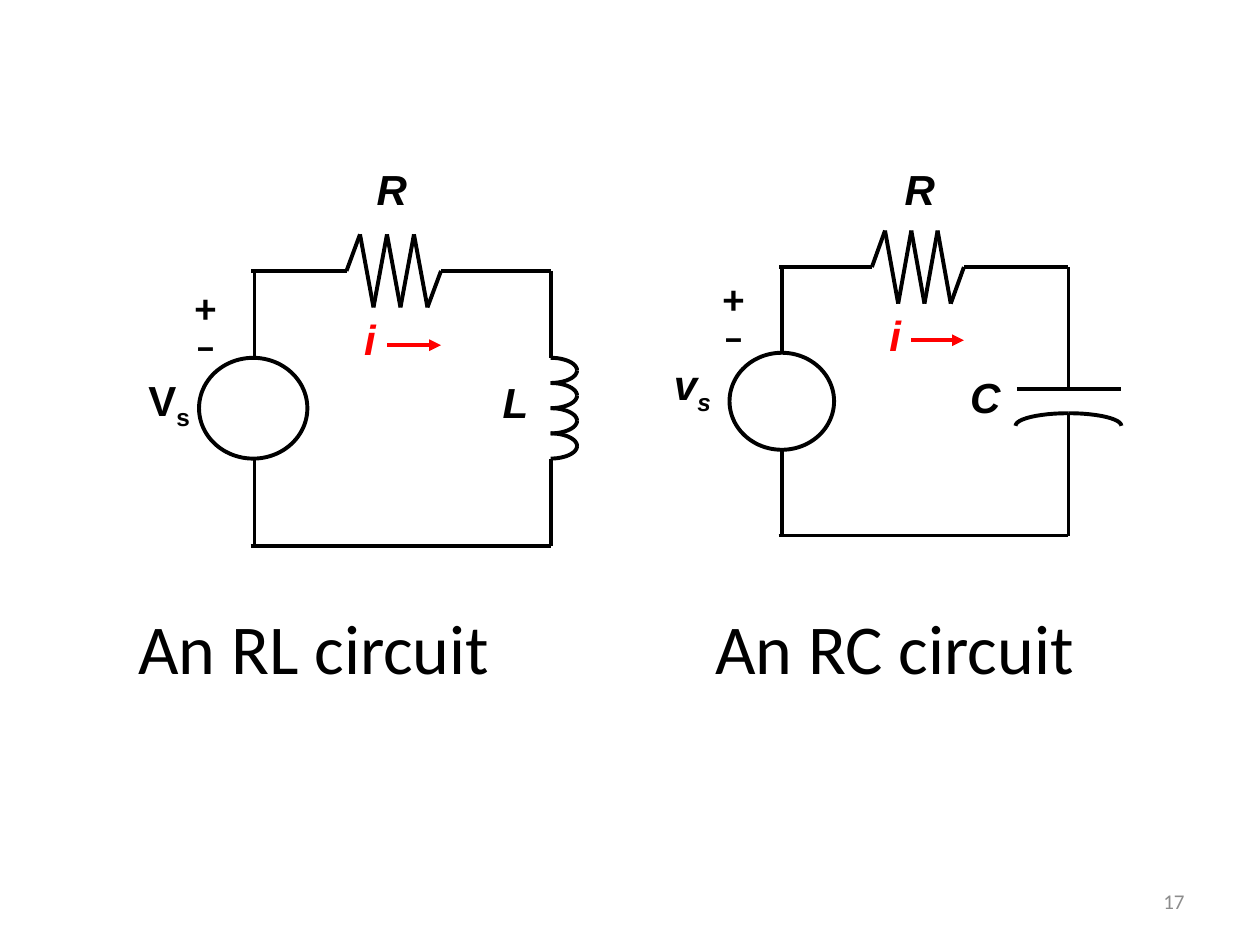
from math import cos, pi, sin

from lxml import etree
from pptx import Presentation
from pptx import util as u
from pptx.dml.color import RGBColor
from pptx.enum import shapes, text
from pptx.oxml.ns import qn

BLACK = RGBColor(0, 0, 0)
RED = RGBColor(255, 0, 0)
GRAY = RGBColor(0x8C, 0x8C, 0x8C)
LEFT, MID, RIGHT = text.PP_ALIGN.LEFT, text.PP_ALIGN.CENTER, text.PP_ALIGN.RIGHT


class Sketch:
    """Draws circuit parts on one slide in a shared line and text style."""

    def __init__(self, slide):
        self.items = slide.shapes
        self.width = u.Pt(2.25)

    def wire(self, x1, y1, x2, y2, color=BLACK):
        ends = [u.Inches(n) for n in (x1, y1, x2, y2)]
        wire = self.items.add_connector(shapes.MSO_CONNECTOR.STRAIGHT, *ends)
        wire.line.color.rgb = color
        wire.line.width = self.width
        props = wire._element.spPr
        etree.SubElement(props, qn("a:effectLst"))
        return props.find(qn("a:ln"))

    def arrow(self, x1, x2, y):
        line = self.wire(x1, y, x2, y, RED)
        etree.SubElement(line, qn("a:headEnd"), type="triangle")

    def trim(self, shape):
        shape.shadow.inherit = False
        shape.fill.background()
        shape.line.color.rgb = BLACK
        shape.line.width = self.width

    def source(self, x, y, wide, high):
        box = [u.Inches(n) for n in (x, y, wide, high)]
        self.trim(self.items.add_shape(shapes.MSO_SHAPE.OVAL, *box))

    def arc(self, x, y, rx, ry, quarter, steps=12):
        turns = [(quarter + n / steps) * pi / 2 for n in range(steps + 1)]
        spots = [(u.Inches(x + rx * cos(t)), u.Inches(y + ry * sin(t))) for t in turns]
        path = self.items.build_freeform(*spots[0])
        path.add_line_segments(spots[1:], close=False)
        self.trim(path.convert_to_shape())

    def zigzag(self, x1, x2, y, swing):
        step = (x2 - x1) / 7
        rows = [y] + [y - swing, y + swing] * 3 + [y]
        spots = [(x1 + n * step, row) for n, row in enumerate(rows)]
        for start, end in zip(spots, spots[1:]):
            self.wire(*start, *end)

    def label(self, x, y, wide, high, lines, size=24, face="Arial", color=BLACK,
              bold=True, slant=False, align=MID, sub="", space=None, wrap=False):
        box = self.items.add_textbox(*[u.Inches(n) for n in (x, y, wide, high)])
        frame = box.text_frame
        frame.word_wrap = wrap
        frame.text = lines
        for par in frame.paragraphs:
            par.alignment = align
            par.line_spacing = space
            font = par.font
            font.name, font.size = face, u.Pt(size)
            font.bold, font.italic = bold, slant
            font.color.rgb = color
        if sub:
            run = frame.paragraphs[0].add_run()
            run.text = sub
            run._r.get_or_add_rPr().set("baseline", "-25000")
        return frame

    def loop(self, x1, x2, top, base, oval, coil, gap):
        """Draws the source, resistor and wires around one circuit."""
        x, y, wide, high = oval
        self.source(*oval)
        self.wire(x1, y, x1, top)
        self.wire(x1, base, x1, y + high)
        self.wire(x1 - 0.03, base, x2, base)
        self.wire(coil[0], top, x1 - 0.03, top)
        self.wire(x2, top, coil[1], top)
        self.zigzag(*coil, top, 0.29)
        self.wire(x2, top, x2, gap[0])
        self.wire(x2, gap[1], x2, base)

    def signs(self, x, y):
        self.label(x, y, 0.39, 0.7, "+\n–", face="Calibri", align=LEFT, space=0.75)

    def title(self, x, wide, words):
        self.label(x, 4.75, wide, 0.77, words, size=40, face="Calibri",
                   bold=False, align=LEFT)


def main():
    deck = Presentation()
    deck.slide_width, deck.slide_height = u.Inches(10), u.Inches(7.5)
    art = Sketch(deck.slides.add_slide(deck.slide_layouts[6]))

    page = art.label(7.17, 6.95, 2.33, 0.4, "17", size=12, face="Calibri",
                     color=GRAY, bold=False, align=RIGHT, wrap=True)
    page.vertical_anchor = text.MSO_ANCHOR.MIDDLE

    art.loop(6.21, 8.48, 2.12, 4.25, (5.79, 2.8, 0.83, 0.77), (6.92, 7.65), (3.09, 3.28))
    art.wire(8.07, 3.09, 8.9, 3.09)
    for quarter in (2, 3):
        art.arc(8.48, 3.38, 0.42, 0.1, quarter)
    art.label(5.17, 2.8, 0.65, 0.5, "v", slant=True, sub="s", wrap=True)
    art.label(7.08, 1.25, 0.44, 0.5, "R", slant=True)
    art.label(7.6, 2.9, 0.44, 0.5, "C", slant=True)
    art.label(6.92, 2.41, 0.37, 0.5, "i", color=RED, slant=True, wrap=True)
    art.signs(5.64, 2.21)
    art.arrow(7.65, 7.23, 2.7)

    art.title(1, 3.29, "An RL circuit")
    art.title(5.58, 3.32, "An RC circuit")

    art.loop(2.02, 4.37, 2.15, 4.33, (1.58, 2.84, 0.86, 0.8), (2.75, 3.5), (2.84, 3.64))
    for turn in range(4):
        for quarter in (3, 0):
            art.arc(4.37, 2.94 + 0.2 * turn, 0.21, 0.1, quarter)
    art.label(1.08, 2.92, 0.55, 0.5, "V", align=LEFT, sub="s")
    art.label(2.89, 1.25, 0.44, 0.5, "R", slant=True)
    art.label(3.83, 2.94, 0.52, 0.5, "L", slant=True, wrap=True)
    art.label(2.79, 2.44, 0.29, 0.5, "i", color=RED, slant=True)
    art.signs(1.45, 2.28)
    art.arrow(3.5, 3.07, 2.74)

    deck.save("out.pptx")


if __name__ == "__main__":
    main()
